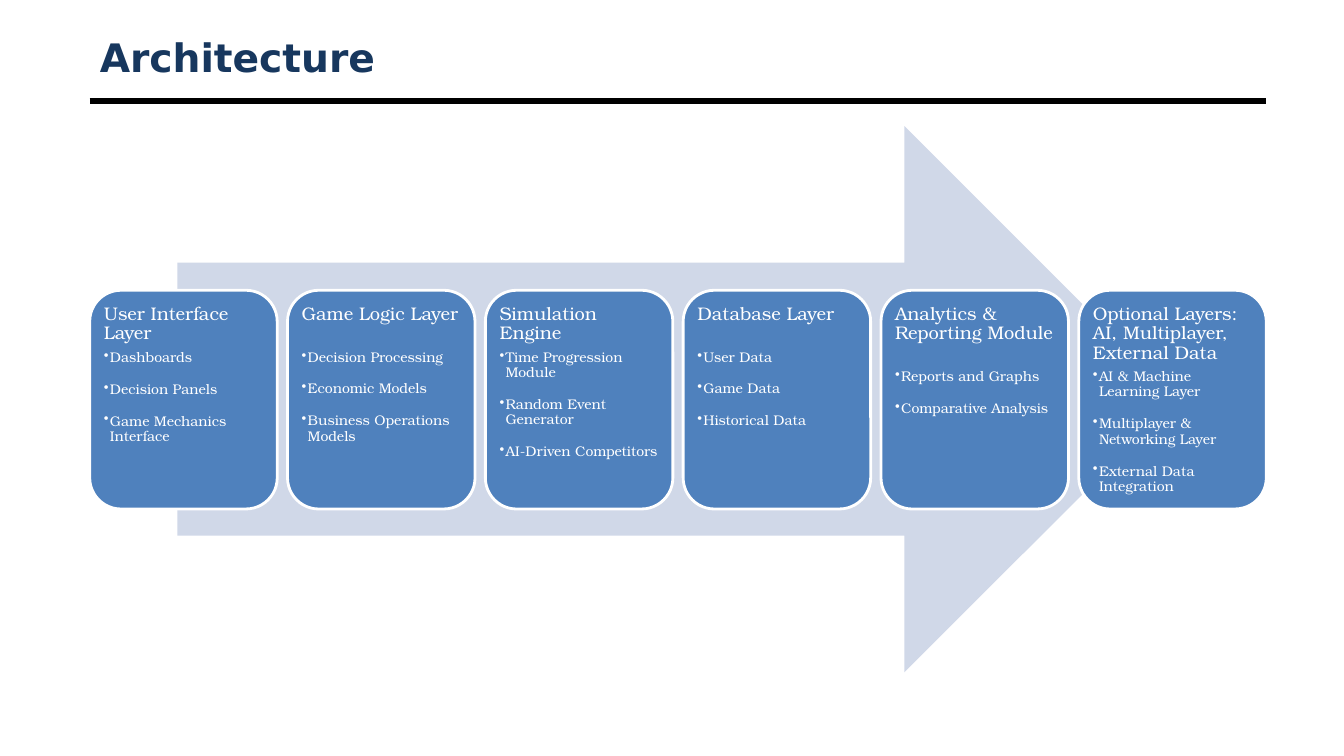
from lxml import etree
from pptx import Presentation
from pptx.dml.color import RGBColor
from pptx.enum.shapes import MSO_CONNECTOR, MSO_SHAPE
from pptx.enum.text import MSO_ANCHOR, MSO_AUTO_SIZE, PP_ALIGN
from pptx.oxml.ns import qn
from pptx.util import Pt

PX = 9144
STRAIGHT = MSO_CONNECTOR.STRAIGHT
RIGHT_ARROW = MSO_SHAPE.RIGHT_ARROW
ROUNDED = MSO_SHAPE.ROUNDED_RECTANGLE
MIDDLE = MSO_ANCHOR.MIDDLE
TOP = MSO_ANCHOR.TOP
LEFT = PP_ALIGN.LEFT
NO_AUTOFIT = MSO_AUTO_SIZE.NONE

TITLE_FONT = "DejaVu Sans"
CARD_FONT = "TeX Gyre Bonum"
NAVY, BLACK, WHITE = "17375E", "000000", "FFFFFF"
PALE_BLUE, BLUE = "D0D8E8", "4F81BD"

MARGIN, CONTENT_WIDTH = 89, 1167
CARD_TOP, CARD_WIDTH, CARD_HEIGHT = 288, 186, 217
TIGHT_GAP, WIDE_GAP, ITEM_GAP = 4.5, 18.5, 12

LAYERS = [
    ("User Interface Layer", TIGHT_GAP,
     ["Dashboards", "Decision Panels", "Game Mechanics Interface"]),
    ("Game Logic Layer", WIDE_GAP,
     ["Decision Processing", "Economic Models", "Business Operations Models"]),
    ("Simulation Engine", TIGHT_GAP,
     ["Time Progression Module", "Random Event Generator", "AI-Driven Competitors"]),
    ("Database Layer", WIDE_GAP,
     ["User Data", "Game Data", "Historical Data"]),
    ("Analytics & Reporting Module", WIDE_GAP,
     ["Reports and Graphs", "Comparative Analysis"]),
    ("Optional Layers: AI, Multiplayer, External Data", TIGHT_GAP,
     ["AI & Machine Learning Layer", "Multiplayer & Networking Layer",
      "External Data Integration"]),
]


def px(*lengths):
    return [round(length * PX) for length in lengths]


def color(value):
    return RGBColor.from_string(value)


def style_font(paragraph, name, size, value, bold=False):
    font = paragraph.font
    font.name = name
    font.size = Pt(size)
    font.bold = bold
    font.color.rgb = color(value)


def set_title(slide, text):
    title = slide.shapes.title
    title.left, title.top, title.width, title.height = px(MARGIN, 30, CONTENT_WIDTH, 53)
    frame = title.text_frame
    frame.text = text
    frame.auto_size = NO_AUTOFIT
    frame.vertical_anchor = MIDDLE
    heading = frame.paragraphs[0]
    heading.alignment = LEFT
    style_font(heading, TITLE_FONT, 28, NAVY, bold=True)


def add_rule(slide, top):
    rule = slide.shapes.add_connector(
        STRAIGHT, *px(MARGIN, top, MARGIN + CONTENT_WIDTH, top))
    rule.line.color.rgb = color(BLACK)
    rule.line.width = Pt(4.5)
    etree.SubElement(rule._element.spPr, qn("a:effectLst"))


def add_filled(slide, kind, box, fill):
    shape = slide.shapes.add_shape(kind, *px(*box))
    shape.shadow.inherit = False
    shape.fill.solid()
    shape.fill.fore_color.rgb = color(fill)
    shape.line.fill.background()
    return shape


def write_line(paragraph, text, size, gap):
    paragraph.text = text
    paragraph.alignment = LEFT
    paragraph.line_spacing = 0.9
    paragraph.space_after = Pt(gap)
    style_font(paragraph, CARD_FONT, size, WHITE)


def add_bullet(paragraph):
    properties = paragraph._p.get_or_add_pPr()
    indent = px(6)[0]
    properties.set("marL", str(indent))
    properties.set("indent", str(-indent))
    bullet = etree.Element(qn("a:buChar"), char="•")
    properties.find(qn("a:defRPr")).addprevious(bullet)


def add_card(slide, left, heading, heading_gap, items):
    card = add_filled(slide, ROUNDED, (left, CARD_TOP, CARD_WIDTH, CARD_HEIGHT), BLUE)
    card.line.color.rgb = color(WHITE)
    card.line.width = Pt(2)
    frame = card.text_frame
    frame.word_wrap = True
    frame.vertical_anchor = TOP
    frame.margin_left, frame.margin_top, frame.margin_right, frame.margin_bottom = px(5, 5, 5, 5)
    write_line(frame.paragraphs[0], heading, 13, heading_gap)
    for item in items:
        paragraph = frame.add_paragraph()
        write_line(paragraph, item, 10, ITEM_GAP)
        add_bullet(paragraph)


def main():
    deck = Presentation()
    deck.slide_width, deck.slide_height = px(1333, 750)
    slide = deck.slides.add_slide(deck.slide_layouts[5])
    add_rule(slide, 100)
    set_title(slide, "Architecture")
    add_filled(slide, RIGHT_ARROW, (176, 125, 992, 542), PALE_BLUE)
    pitch = (CONTENT_WIDTH - CARD_WIDTH) / (len(LAYERS) - 1)
    for index, (heading, heading_gap, items) in enumerate(LAYERS):
        add_card(slide, MARGIN + index * pitch, heading, heading_gap, items)
    deck.save("out.pptx")


if __name__ == "__main__":
    main()
